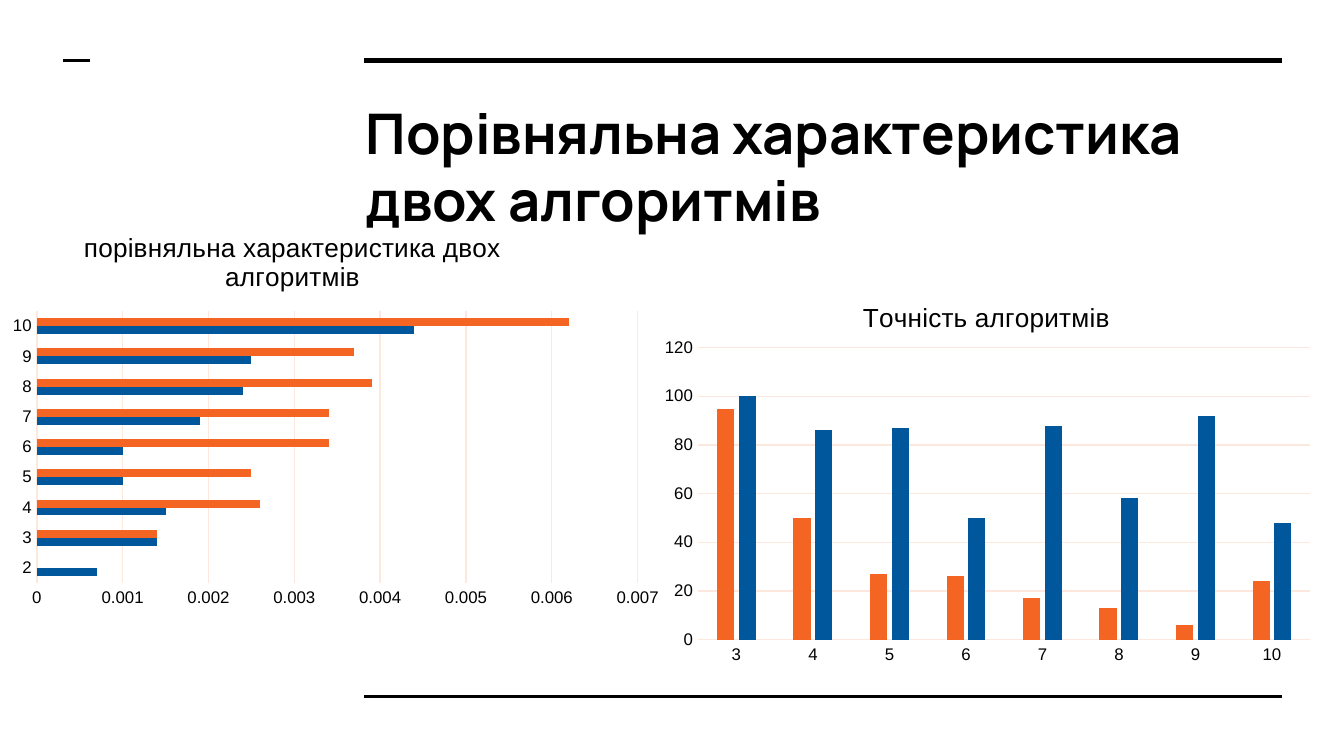
from dataclasses import dataclass

from lxml.etree import SubElement
from pptx import Presentation
from pptx.chart.data import CategoryChartData
from pptx.dml.color import RGBColor
from pptx.enum.chart import XL_CHART_TYPE, XL_TICK_MARK
from pptx.enum.shapes import MSO_CONNECTOR
from pptx.enum.text import MSO_ANCHOR, MSO_AUTO_SIZE, PP_ALIGN
from pptx.oxml.ns import qn
from pptx.util import Inches, Pt


@dataclass(frozen=True)
class Theme:
    ink: RGBColor = RGBColor.from_string("000000")
    blue: RGBColor = RGBColor.from_string("01579B")
    orange: RGBColor = RGBColor.from_string("F46524")
    grid: RGBColor = RGBColor.from_string("FDE8DE")
    head_font: str = "Manrope"
    font: str = "Arial"
    head: Pt = Pt(30)
    name: Pt = Pt(14)
    base: Pt = Pt(10)
    tick: Pt = Pt(9)


theme = Theme()


def style(font, size, face=theme.font, bold=False):
    font.size, font.name, font.bold = size, face, bold
    font.color.rgb = theme.ink


def pin(part, **spots):
    """Fix a chart part at percentages of the chart area."""
    layout = part.find(qn("c:layout"))
    if layout is None:
        layout = part.makeelement(qn("c:layout"))
        part.find(qn("c:overlay")).addprevious(layout)
    for old in list(layout):
        layout.remove(old)
    manual = SubElement(layout, qn("c:manualLayout"))
    if "w" in spots:
        SubElement(manual, qn("c:layoutTarget")).set("val", "inner")
    for key in ("xMode", "yMode"):
        SubElement(manual, qn(f"c:{key}")).set("val", "edge")
    for key, value in spots.items():
        SubElement(manual, qn(f"c:{key}")).set("val", str(value / 100))


deck = Presentation()
deck.slide_width, deck.slide_height = Inches(10), Inches(10 * 9 / 16)
slide = deck.slides.add_slide(deck.slide_layouts[5])

# Rules: left, right, height, weight
for left, right, y, weight in [
    (2.71, 9.54, 0.45, 3),
    (2.71, 9.54, 5.18, 1.5),
    (0.47, 0.67, 0.45, 1.5),
]:
    rule = slide.shapes.add_connector(
        MSO_CONNECTOR.STRAIGHT, Inches(left), Inches(y), Inches(right), Inches(y))
    rule.line.color.rgb = theme.ink
    rule.line.width = Pt(weight)
    SubElement(rule._element.spPr, qn("a:effectLst"))

title = slide.shapes.title
title.left, title.top = Inches(2.62), Inches(0.63)
title.width, title.height = Inches(6.91), Inches(0.69)
frame = title.text_frame
frame.text = "Порівняльна характеристика двох алгоритмів"
frame.word_wrap = True
frame.auto_size = MSO_AUTO_SIZE.NONE
frame.vertical_anchor = MSO_ANCHOR.TOP
frame.margin_left = frame.margin_right = Inches(0.1)
frame.margin_top = frame.margin_bottom = Inches(0.1)
line = frame.paragraphs[0]
line.alignment = PP_ALIGN.LEFT
line.line_spacing = 1.0
style(line.runs[0].font, theme.head, theme.head_font, True)

charts = [
    dict(
        kind=XL_CHART_TYPE.BAR_CLUSTERED, left=0, top=1.58,
        name="порівняльна характеристика двох алгоритмів",
        cats=range(2, 11), gap=182, overlap=0, limit=0.007, step=0.001,
        series=[
            (theme.blue, [0.0007, 0.0014, 0.0015, 0.001, 0.001,
                          0.0019, 0.0024, 0.0025, 0.0044]),
            (theme.orange, [None, 0.0014, 0.0026, 0.0025, 0.0034,
                            0.0034, 0.0039, 0.0037, 0.0062]),
        ],
        head=dict(x=11.8, y=3.3), plot=dict(x=5.5, y=24.5, w=89.4, h=67.5),
    ),
    dict(
        kind=XL_CHART_TYPE.COLUMN_CLUSTERED, left=4.85, top=2,
        name="Точність алгоритмів",
        cats=range(3, 11), gap=219, overlap=-27, limit=120, step=20,
        series=[
            (theme.orange, [95, 50, 27, 26, 17, 13, 6, 24]),
            (theme.blue, [100, 86, 87, 50, 88, 58, 92, 48]),
        ],
        head=dict(x=30.7, y=6.8), plot=dict(x=6.9, y=19.6, w=91.1, h=72.4),
    ),
]

for item in charts:
    data = CategoryChartData()
    data.categories = [str(cat) for cat in item["cats"]]
    for number, (color, values) in enumerate(item["series"], 1):
        data.add_series(f"Series {number}", values)
    chart = slide.shapes.add_chart(
        item["kind"], Inches(item["left"]), Inches(item["top"]),
        Inches(5), Inches(3), data).chart
    style(chart.font, theme.base)
    chart.has_legend = False
    chart.has_title = True
    label = chart.chart_title.text_frame
    label.text = item["name"]
    style(label.paragraphs[0].runs[0].font, theme.name)
    chart.chart_title.include_in_layout = False

    bars = chart.plots[0]
    bars.gap_width, bars.overlap = item["gap"], item["overlap"]
    bars.vary_by_categories = False
    for series, (color, values) in zip(bars.series, item["series"]):
        series.format.fill.solid()
        series.format.fill.fore_color.rgb = color

    cats, scale = chart.category_axis, chart.value_axis
    for axis in (cats, scale):
        axis.major_tick_mark = axis.minor_tick_mark = XL_TICK_MARK.NONE
        style(axis.tick_labels.font, theme.tick)
    cats.has_major_gridlines = False
    scale.has_major_gridlines = True
    for stroke in (cats.format.line, scale.major_gridlines.format.line):
        stroke.color.rgb = theme.grid
        stroke.width = Pt(0.75)
    scale.format.line.fill.background()
    scale.minimum_scale, scale.maximum_scale = 0, item["limit"]
    scale.major_unit = item["step"]

    pin(chart.chart_title._element, **item["head"])
    area = chart._chartSpace.chart.plotArea
    if area.find(qn("c:layout")) is None:
        area.insert(0, area.makeelement(qn("c:layout")))
    pin(area, **item["plot"])

deck.save("out.pptx")
